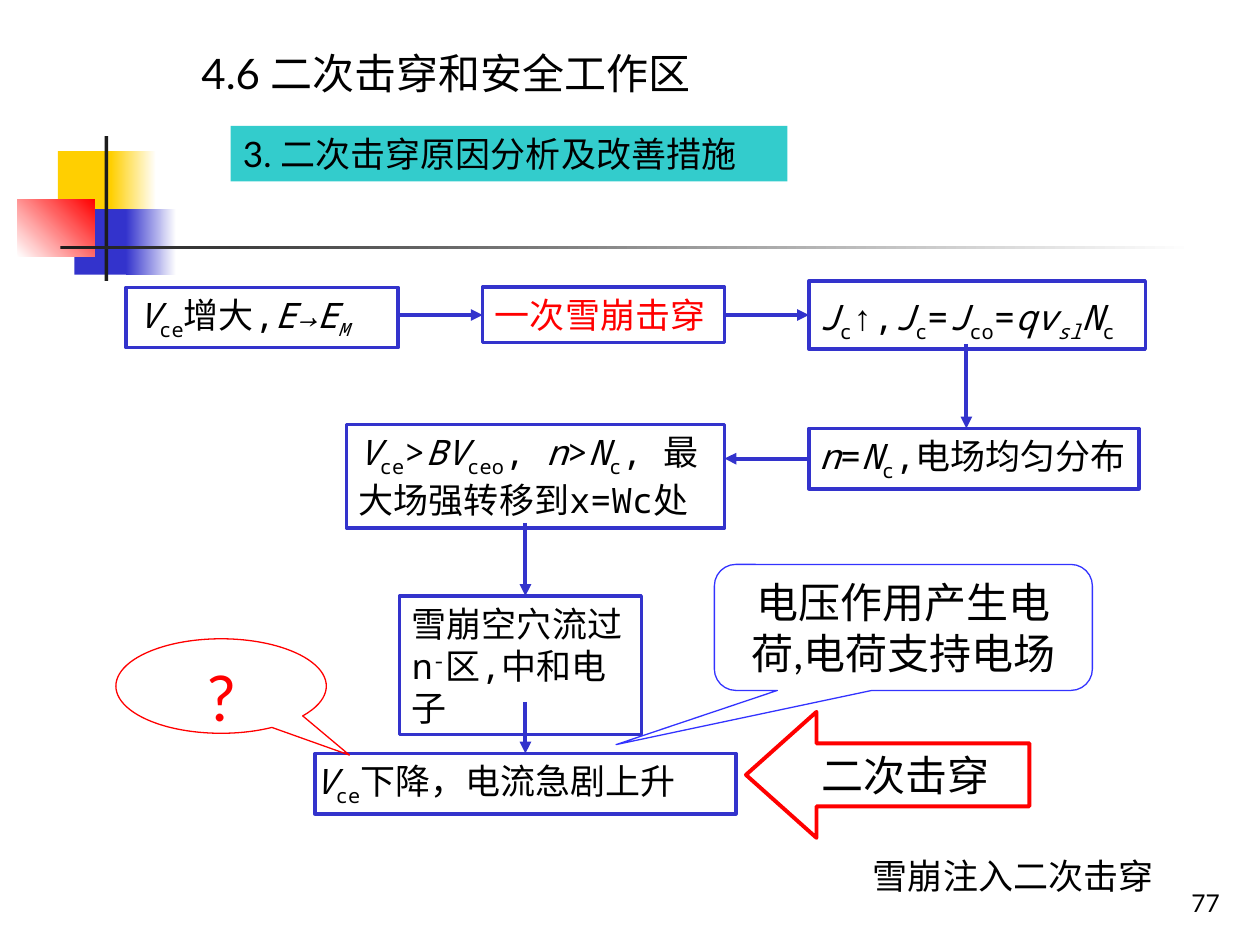
import pptx
import pptx.dml.color
import pptx.enum.shapes
import pptx.enum.text
import pptx.oxml
import pptx.oxml.ns
import pptx.util

PX = 9144
SANS, MONO = "Lato", "Noto Sans Mono"
COLORS = {
    "black": "000000", "white": "FFFFFF", "ink": "1C1C1C", "red": "FF0000",
    "yellow": "FFCF01", "blue": "3333CC", "bubble": "3333FF", "teal": "33CCCC",
}
SHAPE = pptx.enum.shapes.MSO_SHAPE
ANCHOR = pptx.enum.text.MSO_ANCHOR
ALIGN = pptx.enum.text.PP_ALIGN


def px(length):
    """Turn px into EMU."""
    return pptx.util.Emu(length * PX)


def color(name):
    """Look up a named colour."""
    return pptx.dml.color.RGBColor.from_string(COLORS[name])


def add_block(slide, place, fill=None, outline=None, width=2, preset=SHAPE.RECTANGLE, adjust=()):
    """Add a preset shape with a solid, gradient or empty fill."""
    block = slide.shapes.add_shape(preset, *map(px, place))
    block.shadow.inherit = False
    for index, value in enumerate(adjust):
        block.adjustments[index] = value
    if fill is None:
        block.fill.background()
    elif isinstance(fill, tuple):
        start, end, angle = fill
        block.fill.gradient()
        block.fill.gradient_angle = angle
        for stop, name in zip(block.fill.gradient_stops, (start, end)):
            stop.color.rgb = color(name)
    else:
        block.fill.solid()
        block.fill.fore_color.rgb = color(fill)
    if outline:
        block.line.color.rgb = color(outline)
        block.line.width = pptx.util.Pt(width)
    else:
        block.line.fill.background()
    return block


def write(holder, parts, size=20, font=MONO, ink="black", align=ALIGN.LEFT, anchor=ANCHOR.TOP,
          before=0, spacing=None, insets=(10, 5, 10, 5), wrap=True, grow=True):
    """Write one paragraph of (text, italic, baseline percent) parts."""
    frame = holder.text_frame
    frame.word_wrap = wrap
    fit = pptx.enum.text.MSO_AUTO_SIZE
    frame.auto_size = fit.SHAPE_TO_FIT_TEXT if grow else fit.NONE
    frame.vertical_anchor = anchor
    frame.margin_left, frame.margin_top, frame.margin_right, frame.margin_bottom = map(px, insets)
    paragraph = frame.paragraphs[0]
    paragraph.alignment = align
    paragraph.space_before = pptx.util.Pt(before)
    if spacing:
        paragraph.line_spacing = spacing
    paragraph.font.size = pptx.util.Pt(size)
    paragraph.font.name = font
    paragraph.font.color.rgb = color(ink)
    for text, italic, baseline in [(parts, False, 0)] if isinstance(parts, str) else parts:
        run = paragraph.add_run()
        run.text = text
        if italic:
            run.font.italic = True
        if baseline:
            run.font._element.set("baseline", str(baseline * 1000))
    return paragraph


def symbol(letter, subscript, slanted=False):
    """Give the parts of an italic quantity with its subscript."""
    return [(letter, True, 0), (subscript, slanted, -25)]


def plain(text):
    """Give the parts of upright text."""
    return [(text, False, 0)]


def add_label(slide, place, text, **style):
    """Add a text box."""
    return write(slide.shapes.add_textbox(*map(px, place)), text, **style)


def add_step(slide, place, parts, **style):
    """Add a framed step of the flow."""
    step = add_block(slide, place, "white", "blue")
    paragraph = write(step, parts, **{"before": 12.5, **style})
    return step, paragraph


def add_arrow(slide, start, end, source=None, target=None):
    """Add a flow arrow, joined to (step, side) where given."""
    arrow = slide.shapes.add_connector(
        pptx.enum.shapes.MSO_CONNECTOR.STRAIGHT, *map(px, start + end))
    if source:
        arrow.begin_connect(*source)
    if target:
        arrow.end_connect(*target)
    arrow.line.color.rgb = color("blue")
    arrow.line.width = pptx.util.Pt(2.25)
    tail = pptx.oxml.parse_xml(f'<a:tailEnd {pptx.oxml.ns.nsdecls("a")} type="triangle"/>')
    arrow.line._get_or_add_ln().append(tail)
    arrow._element.spPr.append(
        pptx.oxml.parse_xml(f'<a:effectLst {pptx.oxml.ns.nsdecls("a")}/>'))


def add_ornament(slide):
    """Add the coloured squares and rules beside the heading."""
    for place, fill in (
        ((46, 120, 48, 52), "yellow"),
        ((88, 120, 36, 52), ("yellow", "white", 0)),
        ((59, 166, 46, 52), "blue"),
        ((100, 166, 40, 52), ("blue", "white", 0)),
        ((14, 158, 61, 46), ("white", "red", 45)),
        ((83, 108, 3, 115), "ink"),
        ((48, 195, 900, 3), ("ink", "white", 0)),
    ):
        add_block(slide, place, fill)


def add_flow(slide):
    """Add the chain of breakdown steps and its arrows."""
    _, rise = add_step(
        slide, (100, 228, 216, 48),
        symbol("V", "ce") + plain("增大,") + [("E→E", True, 0), ("M", True, -25)], before=11.2)
    rise.runs[-1].font.size = pptx.util.Pt(18)
    avalanche, _ = add_step(slide, (383, 228, 192, 44), "一次雪崩击穿", ink="red")
    current, _ = add_step(
        slide, (642, 223, 267, 54),
        symbol("J", "c") + plain("↑,") + symbol("J", "c") + plain("=") + symbol("J", "co")
        + plain("=") + symbol("qv", "sl", True) + symbol("N", "c"),
        spacing=1.2, insets=(8, 4, 0, 4))
    uniform, _ = add_step(
        slide, (642, 340, 262, 48),
        [("n", True, 0)] + plain("=") + symbol("N", "c") + plain(",电场均匀分布"),
        insets=(8, 5, 0, 5))
    add_step(
        slide, (275, 337, 300, 82),
        symbol("V", "ce") + plain(">") + symbol("BV", "ceo") + plain(", ") + [("n", True, 0)]
        + plain(">") + symbol("N", "c") + plain(", 最大场强转移到x=Wc处"))
    add_step(
        slide, (317, 473, 192, 110),
        plain("雪崩空穴流过n") + [("-", False, 30)] + plain("区,中和电子"))
    surge, _ = add_step(
        slide, (250, 598, 334, 48),
        symbol("V", "ce") + plain("下降，电流急剧上升"), insets=(0, 5, 0, 5))
    add_arrow(slide, (317, 250), (383, 250), target=(avalanche, 1))
    add_arrow(slide, (575, 250), (642, 250), (avalanche, 3), (current, 1))
    add_arrow(slide, (767, 273), (767, 340))
    add_arrow(slide, (642, 364), (575, 364), source=(uniform, 1))
    add_arrow(slide, (417, 415), (417, 473))
    add_arrow(slide, (417, 557), (417, 598), target=(surge, 0))


def add_remarks(slide):
    """Add the result arrow and the two callouts."""
    result = add_block(slide, (592, 565, 225, 100), None, "red", 2.25,
                       SHAPE.LEFT_ARROW, (0.5, 0.56))
    write(result, "二次击穿", 24, SANS, align=ALIGN.CENTER, anchor=ANCHOR.MIDDLE,
          wrap=False, grow=False)
    question = add_block(slide, (92, 507, 167, 75), None, "red", 0.75,
                         SHAPE.OVAL_CALLOUT, (0.61, 0.73))
    write(question, "?", 36, SANS, "red", ALIGN.CENTER, grow=False)
    reason = add_block(slide, (567, 448, 300, 100), None, "bubble", 0.75,
                       SHAPE.ROUNDED_RECTANGULAR_CALLOUT, (-0.76, 0.93, 0.17))
    write(reason, "电压作用产生电荷,电荷支持电场", 24, SANS, align=ALIGN.CENTER,
          insets=(15, 5, 15, 5), grow=False)


def main():
    """Build the slide on second breakdown."""
    deck = pptx.Presentation()
    deck.slide_width, deck.slide_height = px(1000), px(750)
    slide = deck.slides.add_slide(deck.slide_layouts[6])
    add_ornament(slide)
    add_label(slide, (770, 683, 208, 50), "77", size=14, font=SANS,
              align=ALIGN.RIGHT, anchor=ANCHOR.BOTTOM, grow=False)
    add_label(slide, (150, 33, 708, 50), "4.6 二次击穿和安全工作区", size=24, font=SANS, before=15)
    add_flow(slide)
    add_remarks(slide)
    add_label(slide, (683, 673, 248, 44), "雪崩注入二次击穿", wrap=False)
    topic = add_block(slide, (183, 100, 442, 44), "teal")
    write(topic, "3. 二次击穿原因分析及改善措施", font=SANS, before=12.5)
    deck.save("out.pptx")


if __name__ == "__main__":
    main()
